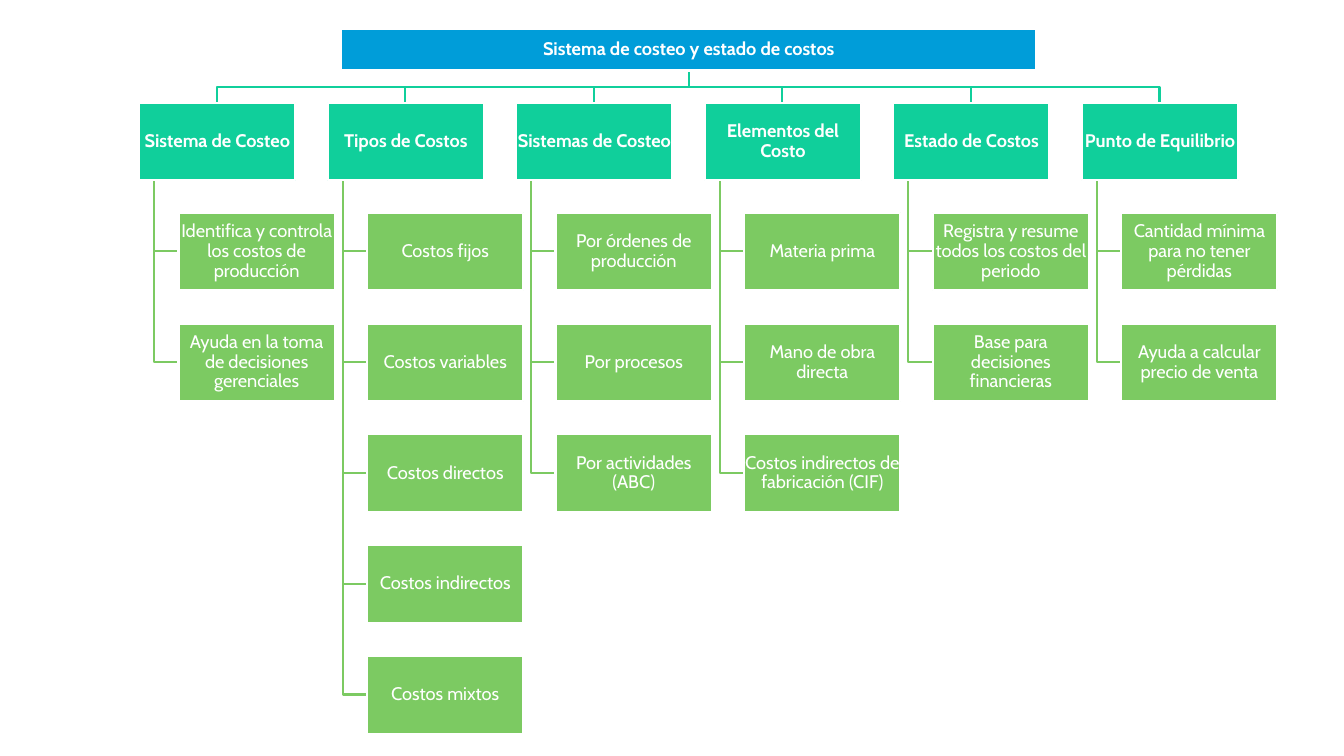
from pptx import Presentation
from pptx.dml.color import RGBColor
from pptx.enum.shapes import MSO_SHAPE
from pptx.enum.text import MSO_ANCHOR, PP_ALIGN
from pptx.util import Emu, Pt

PX = 9144
SLIDE_WIDTH, SLIDE_HEIGHT = 1333, 750
RECTANGLE = MSO_SHAPE.RECTANGLE
MIDDLE = MSO_ANCHOR.MIDDLE
CENTER = PP_ALIGN.CENTER

WHITE = RGBColor(0xFF, 0xFF, 0xFF)
BLUE = RGBColor(0x00, 0x9D, 0xD9)
TEAL = RGBColor(0x10, 0xCF, 0x9B)
GREEN = RGBColor(0x7C, 0xCA, 0x62)

TITLE = "Sistema de costeo y estado de costos"
BRANCHES = [
    ("Sistema de Costeo", [
        "Identifica y controla los costos de producción",
        "Ayuda en la toma de decisiones gerenciales"]),
    ("Tipos de Costos", [
        "Costos fijos", "Costos variables", "Costos directos",
        "Costos indirectos", "Costos mixtos"]),
    ("Sistemas de Costeo", [
        "Por órdenes de producción", "Por procesos", "Por actividades (ABC)"]),
    ("Elementos del Costo", [
        "Materia prima", "Mano de obra directa",
        "Costos indirectos de fabricación (CIF)"]),
    ("Estado de Costos", [
        "Registra y resume todos los costos del periodo",
        "Base para decisiones financieras"]),
    ("Punto de Equilibrio", [
        "Cantidad mínima para no tener pérdidas",
        "Ayuda a calcular precio de venta"]),
]

ROOT_LEFT, ROOT_TOP, ROOT_WIDTH, ROOT_HEIGHT = 338, 29, 690, 41
ROOT_CENTER = ROOT_LEFT + ROOT_WIDTH // 2
ROOT_BOTTOM = ROOT_TOP + ROOT_HEIGHT
BUS_Y = 86
BOX_WIDTH, BOX_HEIGHT = 155, 77
HEADER_LEFT, HEADER_TOP, COLUMN_STEP = 138, 102, 187
HEADER_BOTTOM = HEADER_TOP + BOX_HEIGHT
TRUNK_INDENT, ITEM_INDENT = 15, 39
ITEM_TOP, ROW_STEP = 211, 110


class ChartPage:
    font_name = "Cabin"
    font_size = Pt(13)
    line_width = Pt(1.5)

    def __init__(self, deck):
        self.shapes = deck.slides.add_slide(deck.slide_layouts[6]).shapes

    def branch_line(self, points, color):
        builder = self.shapes.build_freeform(*points[0], scale=PX)
        builder.add_line_segments(points[1:], close=False)
        line = builder.convert_to_shape()
        line.shadow.inherit = False
        line.fill.background()
        line.line.color.rgb = color
        line.line.width = self.line_width

    def box(self, text, left, top, width, height, color, bold=False):
        box = self.shapes.add_shape(
            RECTANGLE, *(Emu(length * PX) for length in (left, top, width, height)))
        box.shadow.inherit = False
        box.fill.solid()
        box.fill.fore_color.rgb = color
        box.line.color.rgb = WHITE
        box.line.width = self.line_width
        frame = box.text_frame
        frame.word_wrap = True
        frame.vertical_anchor = MIDDLE
        frame.margin_left = frame.margin_right = Emu(PX)
        frame.margin_top = frame.margin_bottom = Emu(PX)
        para = frame.paragraphs[0]
        para.text = text
        para.alignment = CENTER
        para.line_spacing = 0.9
        para.font.name = self.font_name
        para.font.size = self.font_size
        para.font.bold = bold
        para.font.color.rgb = WHITE


def column_left(column):
    return HEADER_LEFT + column * COLUMN_STEP


def item_top(row):
    return ITEM_TOP + row * ROW_STEP


def draw_lines(page):
    for column, (_, items) in enumerate(BRANCHES):
        left = column_left(column)
        center = left + BOX_WIDTH // 2
        trunk = left + TRUNK_INDENT
        page.branch_line([(ROOT_CENTER, ROOT_BOTTOM), (ROOT_CENTER, BUS_Y),
                          (center, BUS_Y), (center, HEADER_TOP)], TEAL)
        for row in range(len(items)):
            middle = item_top(row) + BOX_HEIGHT // 2
            page.branch_line([(trunk, HEADER_BOTTOM), (trunk, middle),
                              (left + ITEM_INDENT, middle)], GREEN)


def draw_boxes(page):
    page.box(TITLE, ROOT_LEFT, ROOT_TOP, ROOT_WIDTH, ROOT_HEIGHT, BLUE, bold=True)
    for column, (header, items) in enumerate(BRANCHES):
        left = column_left(column)
        page.box(header, left, HEADER_TOP, BOX_WIDTH, BOX_HEIGHT, TEAL, bold=True)
        for row, item in enumerate(items):
            page.box(item, left + ITEM_INDENT, item_top(row),
                     BOX_WIDTH, BOX_HEIGHT, GREEN)


def main():
    deck = Presentation()
    deck.slide_width = Emu(SLIDE_WIDTH * PX)
    deck.slide_height = Emu(SLIDE_HEIGHT * PX)
    page = ChartPage(deck)
    draw_lines(page)
    draw_boxes(page)
    deck.save("out.pptx")


if __name__ == "__main__":
    main()
